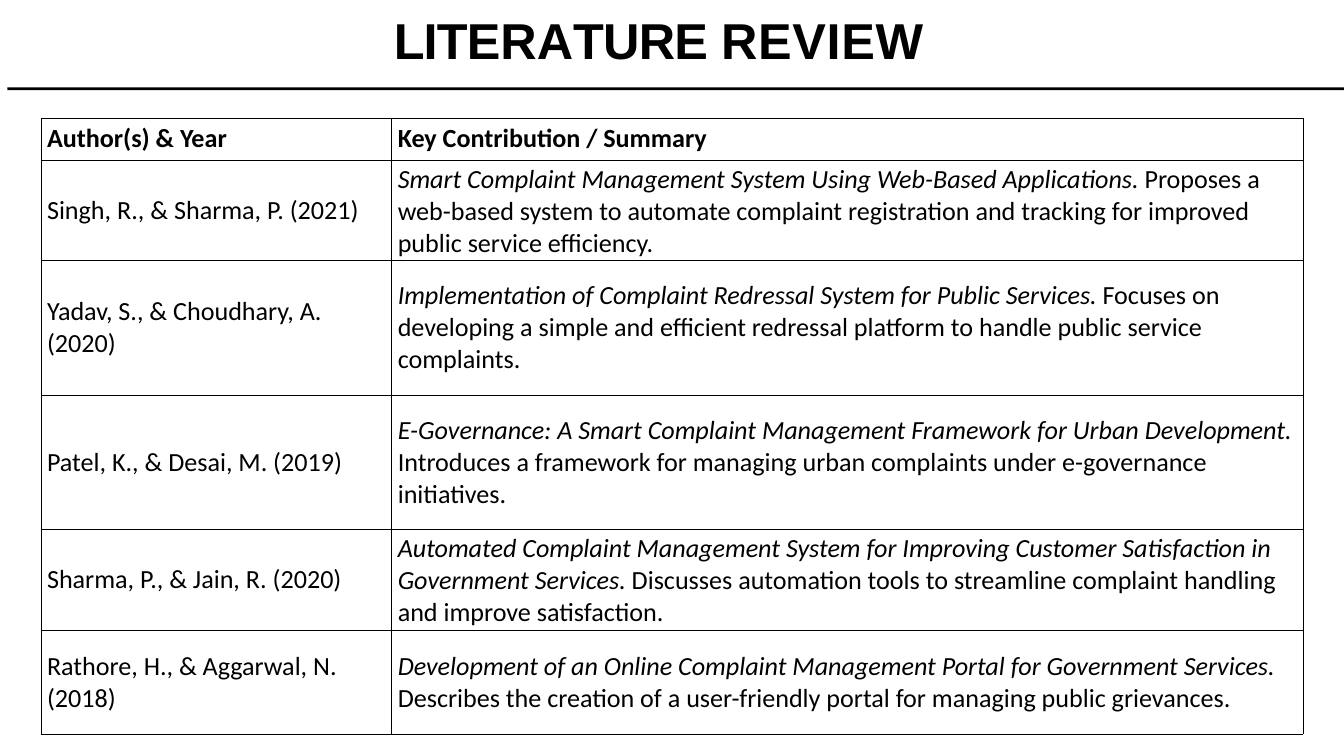
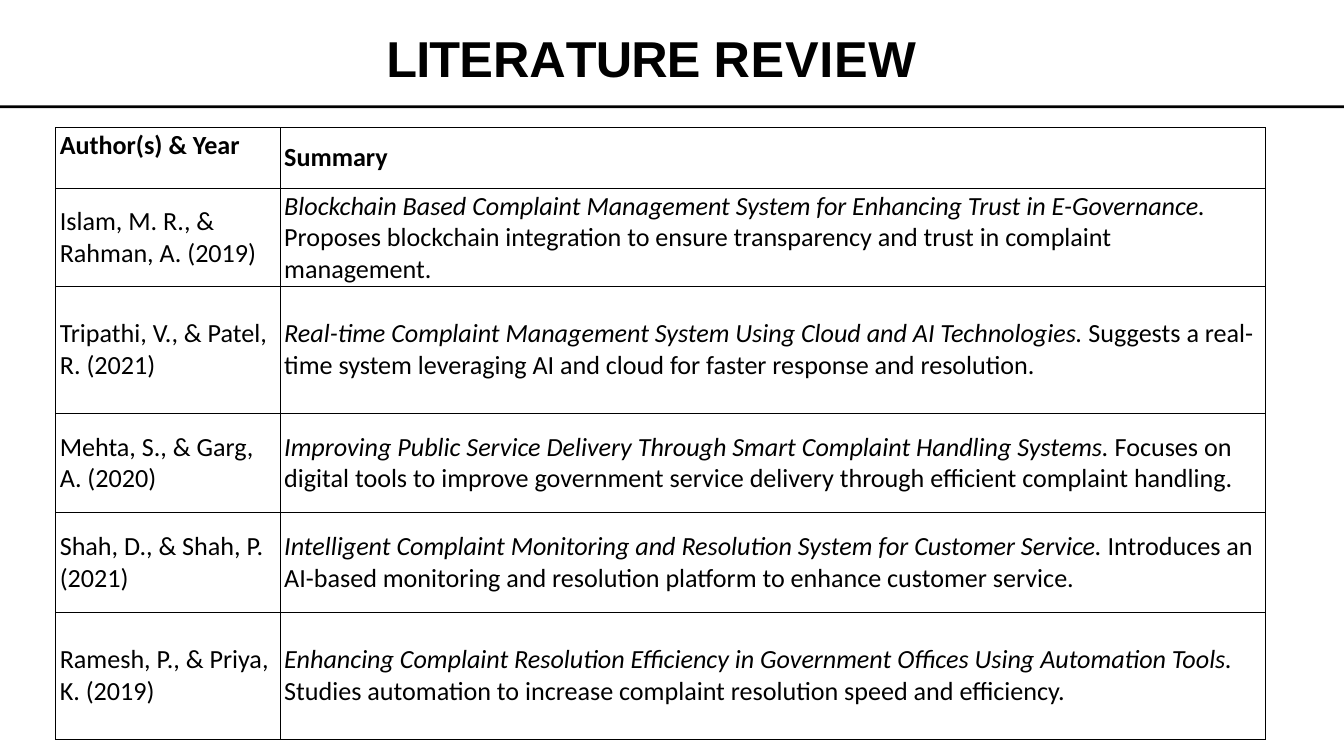
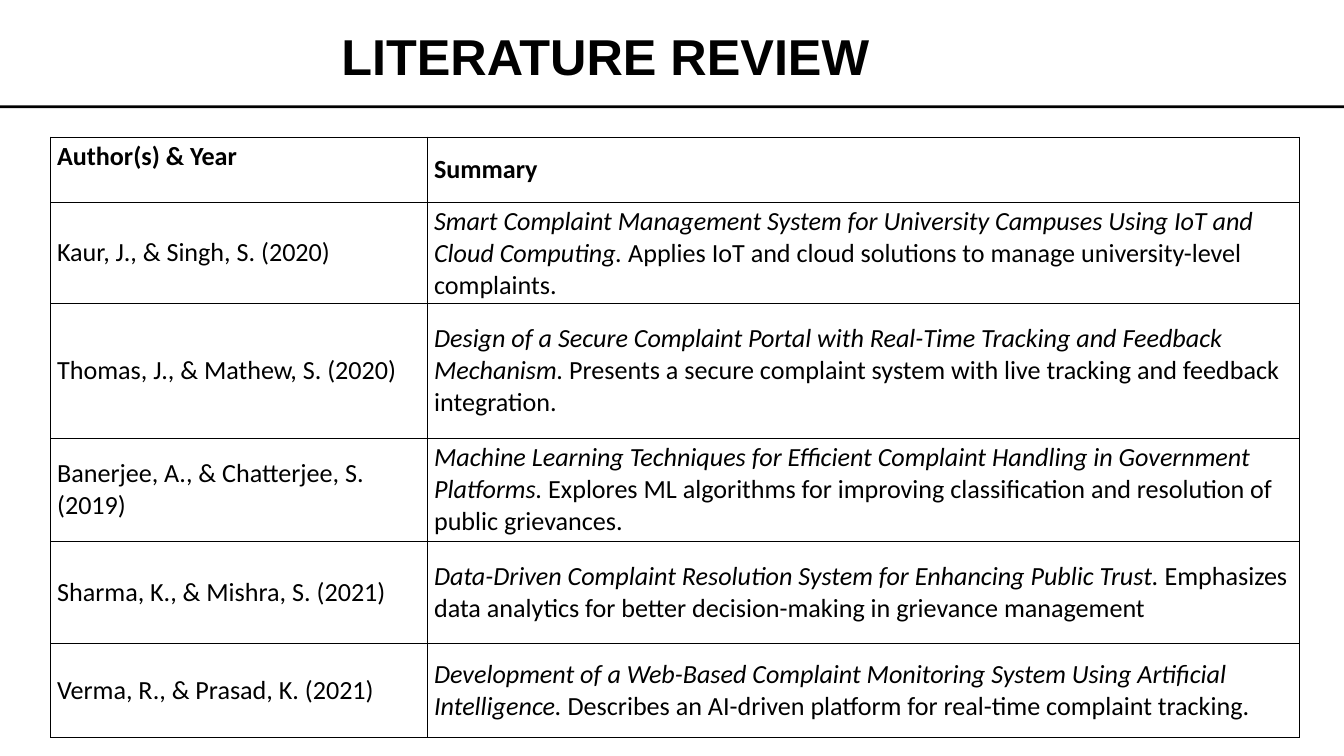
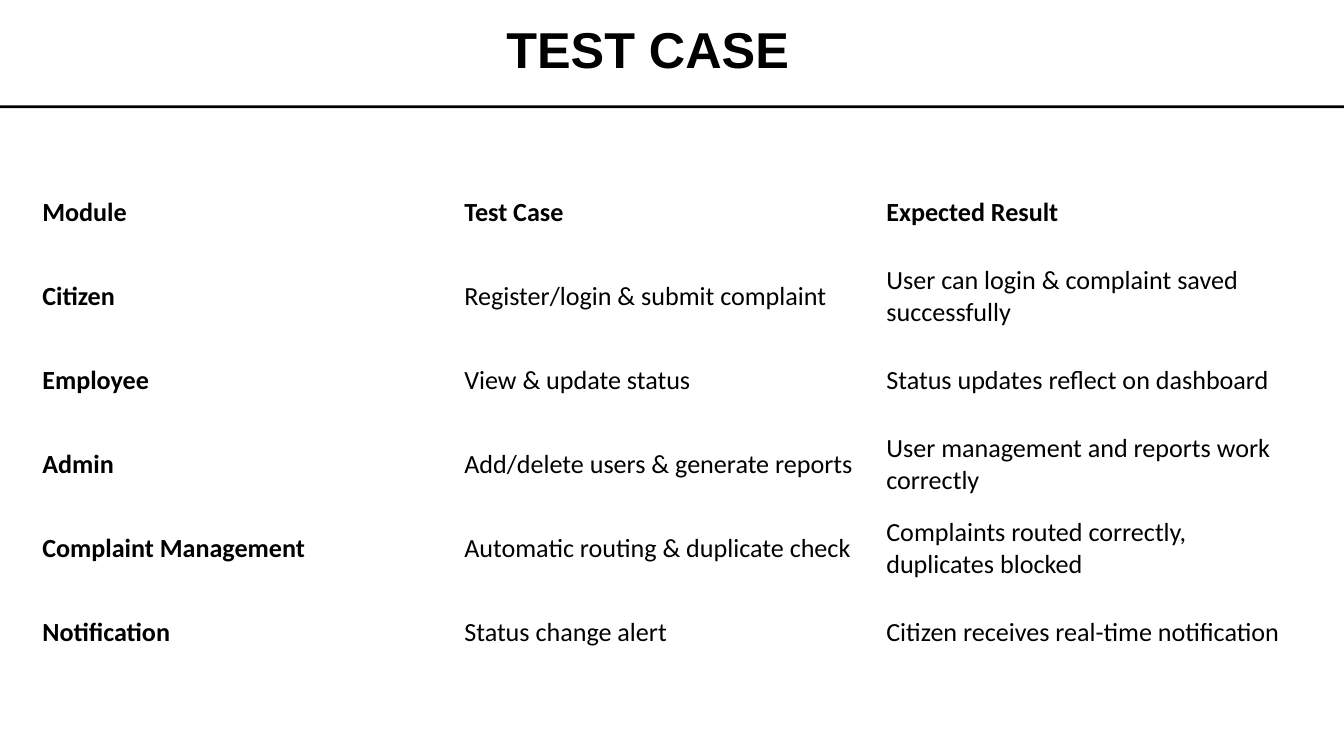
import pptx
import pptx.dml.color
import pptx.enum.shapes
import pptx.enum.text
import pptx.oxml
import pptx.oxml.ns
import pptx.util

Inches = pptx.util.Inches
Pt = pptx.util.Pt
ANCHOR = pptx.enum.text.MSO_ANCHOR
ALIGN = pptx.enum.text.PP_ALIGN

COLORS = {"ink": "000000", "paper": "FFFFFF"}
TITLE_FONT = {"name": "Arial", "size": Pt(54), "bold": True, "italic": False}
CELL_FONT = {"name": "Calibri", "size": Pt(28), "bold": False, "italic": False}
BOLD = {"bold": True}
ITALIC = {"italic": True}
BORDER_WIDTH = Pt(1)

REVIEW_TITLE = [("LITE", -0.9), ("R", -0.5), ("A", -5.8), ("TURE ", -0.9), ("REVIEW", 0.8)]

REVIEWS = [
    {
        "rule": (0.11, 1.3),
        "title": {"runs": REVIEW_TITLE, "place": (3.18, 0, 13.14, 1.05), "top": 0.14, "indent": 2.68},
        "place": (0.61, 1.76),
        "columns": [5.22, 13.56],
        "rows": [0.62, 1.48, 2, 2, 1.48, 1.54],
        "margins": (0.09, 0.05),
        "header": ["Author(s) & Year", "Key Contribution / Summary"],
        "header_anchor": ANCHOR.MIDDLE,
        "papers": [
            ("Singh, R., & Sharma, P. (2021)",
             "Smart Complaint Management System Using Web-Based Applications.",
             " Proposes a web-based system to automate complaint registration and tracking for improved public service efficiency."),
            ("Yadav, S., & Choudhary, A. (2020)",
             "Implementation of Complaint Redressal System for Public Services.",
             " Focuses on developing a simple and efficient redressal platform to handle public service complaints."),
            ("Patel, K., & Desai, M. (2019)",
             "E-Governance: A Smart Complaint Management Framework for Urban Development.",
             " Introduces a framework for managing urban complaints under e-governance initiatives."),
            ("Sharma, P., & Jain, R. (2020)",
             "Automated Complaint Management System for Improving Customer Satisfaction in Government Services.",
             " Discusses automation tools to streamline complaint handling and improve satisfaction."),
            ("Rathore, H., & Aggarwal, N. (2018)",
             "Development of an Online Complaint Management Portal for Government Services.",
             " Describes the creation of a user-friendly portal for managing public grievances."),
        ],
    },
    {
        "rule": (0, 1.57),
        "title": {"runs": REVIEW_TITLE, "place": (3.07, 0.27, 13.14, 1.05), "top": 0.14, "indent": 2.68},
        "place": (0.83, 1.9),
        "columns": [3.34, 14.66],
        "rows": [0.9, 1.32, 1.89, 1.48, 1.48, 1.89],
        "margins": (0.06, 0.03),
        "header": ["Author(s) & Year", "Summary"],
        "header_anchor": ANCHOR.TOP,
        "papers": [
            ("Islam, M. R., & Rahman, A. (2019)",
             "Blockchain Based Complaint Management System for Enhancing Trust in E-Governance.",
             " Proposes blockchain integration to ensure transparency and trust in complaint management."),
            ("Tripathi, V., & Patel, R. (2021)",
             "Real-time Complaint Management System Using Cloud and AI Technologies.",
             " Suggests a real-time system leveraging AI and cloud for faster response and resolution."),
            ("Mehta, S., & Garg, A. (2020)",
             "Improving Public Service Delivery Through Smart Complaint Handling Systems.",
             " Focuses on digital tools to improve government service delivery through efficient complaint handling."),
            ("Shah, D., & Shah, P. (2021)",
             "Intelligent Complaint Monitoring and Resolution System for Customer Service.",
             " Introduces an AI-based monitoring and resolution platform to enhance customer service."),
            ("Ramesh, P., & Priya, K. (2019)",
             "Enhancing Complaint Resolution Efficiency in Government Offices Using Automation Tools.",
             " Studies automation to increase complaint resolution speed and efficiency."),
        ],
    },
    {
        "rule": (0, 1.57),
        "title": {"runs": [("LITERATURE REVIEW", 0)], "place": (5.08, 0.38, 13.14, 0.91)},
        "place": (0.75, 2.04),
        "columns": [5.61, 12.97],
        "rows": [0.97, 1.41, 2.01, 1.53, 1.53, 1.39],
        "margins": (0.1, 0.05),
        "header": ["Author(s) & Year", "Summary"],
        "header_anchor": ANCHOR.TOP,
        "papers": [
            ("Kaur, J., & Singh, S. (2020)",
             "Smart Complaint Management System for University Campuses Using IoT and Cloud Computing.",
             " Applies IoT and cloud solutions to manage university-level complaints."),
            ("Thomas, J., & Mathew, S. (2020)",
             "Design of a Secure Complaint Portal with Real-Time Tracking and Feedback Mechanism.",
             " Presents a secure complaint system with live tracking and feedback integration."),
            ("Banerjee, A., & Chatterjee, S. (2019)",
             "Machine Learning Techniques for Efficient Complaint Handling in Government Platforms.",
             " Explores ML algorithms for improving classification and resolution of public grievances."),
            ("Sharma, K., & Mishra, S. (2021)",
             "Data-Driven Complaint Resolution System for Enhancing Public Trust.",
             " Emphasizes data analytics for better decision-making in grievance management"),
            ("Verma, R., & Prasad, K. (2021)",
             "Development of a Web-Based Complaint Monitoring System Using Artificial Intelligence.",
             " Describes an AI-driven platform for real-time complaint tracking."),
        ],
    },
]

TEST_HEADER = ["Module", "Test Case", "Expected Result"]
TEST_CASES = [
    ("Citizen", "Register/login & submit complaint", "User can login & complaint saved successfully"),
    ("Employee", "View & update status", "Status updates reflect on dashboard"),
    ("Admin", "Add/delete users & generate reports", "User management and reports work correctly"),
    ("Complaint Management", "Automatic routing & duplicate check", "Complaints routed correctly, duplicates blocked"),
    ("Notification", "Status change alert", "Citizen receives real-time notification"),
]


def rgb(name):
    return pptx.dml.color.RGBColor.from_string(COLORS[name])


def set_attributes(target, values):
    for name, value in values.items():
        setattr(target, name, value)


def add_span(para, text, font_values):
    span = para.add_run()
    span.text = text
    set_attributes(span.font, font_values)
    span.font.color.rgb = rgb("ink")
    return span


def add_page(deck, rule_place):
    page = deck.slides.add_slide(deck.slide_layouts.get_by_name("Title Only"))
    page.background.fill.solid()
    page.background.fill.fore_color.rgb = rgb("paper")
    left, top = rule_place
    rule = page.shapes.add_shape(
        pptx.enum.shapes.MSO_SHAPE.RECTANGLE, Inches(left), Inches(top), Inches(20), Inches(0.04))
    rule.shadow.inherit = False
    rule.fill.solid()
    rule.fill.fore_color.rgb = rgb("ink")
    rule.line.fill.background()
    return page


def fill_title(page, runs, place, top=0, indent=0, align=ALIGN.LEFT):
    box = page.shapes.title
    set_attributes(box, dict(zip(("left", "top", "width", "height"), map(Inches, place))))
    set_attributes(box.text_frame, {
        "margin_left": 0, "margin_top": Inches(top), "margin_right": 0, "margin_bottom": 0,
        "vertical_anchor": ANCHOR.TOP, "word_wrap": True,
        "auto_size": pptx.enum.text.MSO_AUTO_SIZE.SHAPE_TO_FIT_TEXT,
    })
    para = box.text_frame.paragraphs[0]
    set_attributes(para, {"alignment": align, "space_before": Pt(1 if indent else 0)})
    para._p.get_or_add_pPr().set("marL", str(Inches(indent)))
    for text, spacing in runs:
        span = add_span(para, text, TITLE_FONT)
        if spacing:
            span.font._element.set("spc", str(round(spacing * 100)))


def add_borders(cell):
    properties = cell._tc.get_or_add_tcPr()
    for side in ("lnL", "lnR", "lnT", "lnB"):
        properties.append(pptx.oxml.parse_xml(
            f'<a:{side} {pptx.oxml.ns.nsdecls("a")} w="{BORDER_WIDTH}"><a:solidFill>'
            f'<a:srgbClr val="{COLORS["ink"]}"/></a:solidFill></a:{side}>'))


def add_grid(page, place, columns, rows, cells, margins=(0.1, 0.05), bordered=True):
    left, top = place
    table = page.shapes.add_table(
        len(rows), len(columns), Inches(left), Inches(top),
        Inches(sum(columns)), Inches(sum(rows))).table
    set_attributes(table, {"first_row": False, "horz_banding": False})
    for column, width in zip(table.columns, columns):
        column.width = Inches(width)
    for row, height in zip(table.rows, rows):
        row.height = Inches(height)
    side, edge = map(Inches, margins)
    for row, contents in zip(table.rows, cells):
        for cell, spans in zip(row.cells, contents):
            set_attributes(cell, {
                "margin_left": side, "margin_right": side, "margin_top": edge,
                "margin_bottom": edge, "vertical_anchor": ANCHOR.MIDDLE,
            })
            if bordered:
                add_borders(cell)
            cell.fill.solid()
            cell.fill.fore_color.rgb = rgb("paper")
            for text, style in spans:
                add_span(cell.text_frame.paragraphs[0], text, {**CELL_FONT, **style})
    return table


def header_cells(labels):
    return [[(label, BOLD)] for label in labels]


def add_review(deck, review):
    page = add_page(deck, review["rule"])
    fill_title(page, **review["title"])
    cells = [header_cells(review["header"])]
    for authors, paper, summary in review["papers"]:
        cells.append([[(authors, {})], [(paper, ITALIC), (summary, {})]])
    table = add_grid(page, review["place"], review["columns"], review["rows"], cells, review["margins"])
    table.cell(0, 0).vertical_anchor = review["header_anchor"]


def add_test_cases(deck):
    page = add_page(deck, (0, 1.57))
    fill_title(page, [("TEST CASE", 0)], (3.07, 0.27, 13.14, 0.91), align=ALIGN.CENTER)
    cells = [header_cells(TEST_HEADER)]
    for module, action, result in TEST_CASES:
        cells.append([[(module, BOLD)], [(action, {})], [(result, {})]])
    add_grid(page, (0.53, 2.54), [6.28] * 3, [1.25] * 6, cells, bordered=False)


def main():
    deck = pptx.Presentation()
    set_attributes(deck, {"slide_width": Inches(20), "slide_height": Inches(11.25)})
    for review in REVIEWS:
        add_review(deck, review)
    add_test_cases(deck)
    deck.save("out.pptx")


if __name__ == "__main__":
    main()
